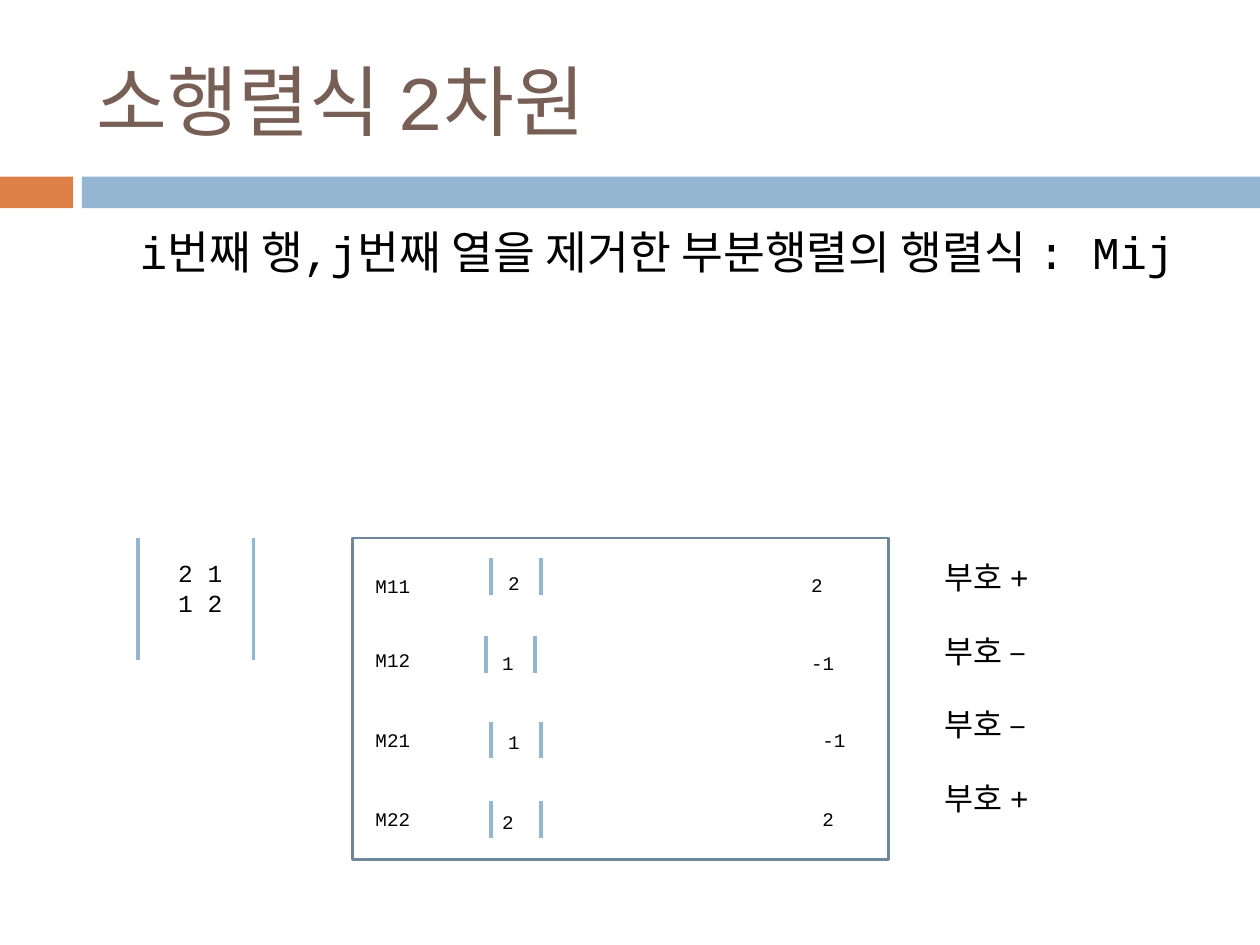
from lxml.etree import SubElement
from pptx import Presentation
from pptx.dml.color import RGBColor
from pptx.enum.shapes import MSO_CONNECTOR, MSO_SHAPE
from pptx.enum.text import MSO_ANCHOR, PP_ALIGN
from pptx.oxml.ns import qn
from pptx.util import Cm, Pt

ORANGE = RGBColor(0xDD, 0x80, 0x47)
BLUE = RGBColor(0x94, 0xB6, 0xD2)
SLATE = RGBColor(0x6D, 0x87, 0x9B)
BROWN = RGBColor(0x77, 0x5F, 0x55)
BLACK = RGBColor(0, 0, 0)


def apply(item, form):
    for key, value in form.items():
        setattr(item, key, value)


class Deck:
    font = "Courier New"

    def __init__(self, wide, high):
        self.prs = Presentation()
        apply(self.prs, {"slide_width": Cm(wide), "slide_height": Cm(high)})
        self.slide = self.prs.slides.add_slide(self.prs.slide_layouts[6])

    def rect(self, x, y, w, h, fill=None, line=None):
        shape = self.slide.shapes.add_shape(
            MSO_SHAPE.RECTANGLE, Cm(x), Cm(y), Cm(w), Cm(h))
        shape.shadow.inherit = False
        if fill is None:
            shape.fill.background()
        else:
            shape.fill.solid()
            shape.fill.fore_color.rgb = fill
        if line is None:
            shape.line.fill.background()
        else:
            shape.line.color.rgb = line
            shape.line.width = Pt(1.5)

    def text(self, x, y, w, h, lines, size, color=BLACK, align=PP_ALIGN.LEFT,
             gap=0, frame=None, home=None):
        shapes = (home or self.slide).shapes
        box = shapes.add_textbox(Cm(x), Cm(y), Cm(w), Cm(h)).text_frame
        apply(box, {"word_wrap": True, **(frame or {})})
        for i, line in enumerate(lines):
            para = box.paragraphs[0] if i == 0 else box.add_paragraph()
            para.alignment = align
            if i and gap:
                para.space_before = Pt(gap)
            run = para.add_run()
            run.text = line
            apply(run.font, {"name": self.font, "size": Pt(size)})
            run.font.color.rgb = color

    def bars(self, left, right, y, h, home=None):
        for x in (left, right):
            bar = (home or self.slide).shapes.add_connector(
                MSO_CONNECTOR.STRAIGHT, Cm(x), Cm(y), Cm(x), Cm(y + h))
            bar.line.color.rgb = BLUE
            bar.line.width = Pt(2.25)
            SubElement(bar._element.spPr, qn("a:effectLst"))

    def minor(self, value, x, y, left, top):
        group = self.slide.shapes.add_group_shape()
        self.text(x, y, 3.3, 0.74, [value], 11, align=PP_ALIGN.CENTER,
                  home=group)
        self.bars(left, left + 1, top, 0.74, home=group)


def main():
    deck = Deck(25.4, 19.05)

    # Header band
    deck.rect(0, 3.56, 1.47, 0.64, fill=ORANGE)
    deck.rect(1.65, 3.56, 23.75, 0.64, fill=BLUE)

    # Title and definition
    deck.text(1.7, 0.64, 22.66, 2.74, ["소행렬식 2차원"], 44, BROWN,
              frame={"vertical_anchor": MSO_ANCHOR.MIDDLE})
    deck.text(1.3, 4.39, 22.86, 1.73,
              ["i번째 행,j번째 열을 제거한 부분행렬의 행렬식 : Mij"], 26,
              frame={"margin_left": Cm(1.52)})

    # Matrix
    deck.text(2.39, 11.13, 3.3, 1.45, ["2 1", "1 2"], 14,
              align=PP_ALIGN.CENTER)
    deck.bars(2.79, 5.11, 10.85, 2.46)

    # Minors: name, its y, value, x, bar left, bar top, result, its x and y
    deck.rect(7.11, 10.85, 10.8, 6.48, line=SLATE)
    rows = [
        ("M11", 11.46, "2", 8.71, 9.9, 11.25, "2", 16.1, 11.43),
        ("M12", 12.95, "1", 8.59, 9.79, 12.83, "-1", 16.1, 13),
        ("M21", 14.55, "1", 8.71, 9.9, 14.55, "-1", 16.33, 14.55),
        ("M22", 16.15, "2", 8.59, 9.9, 16.15, "2", 16.33, 16.15),
    ]
    for i, (name, y, value, x, left, top, out, out_x, out_y) in enumerate(rows):
        deck.text(7.32, y, 1.6, 0.74, [name], 11)
        deck.minor(value, x, 11.4 + 1.6 * i, left, top)
        deck.text(out_x, out_y, 1.57, 0.74, [out], 11)

    # Signs
    deck.text(18.8, 11.13, 4.39, 5.64, [f"부호 {s}" for s in "+––+"], 18,
              gap=20.4)

    deck.prs.save("out.pptx")


if __name__ == "__main__":
    main()
